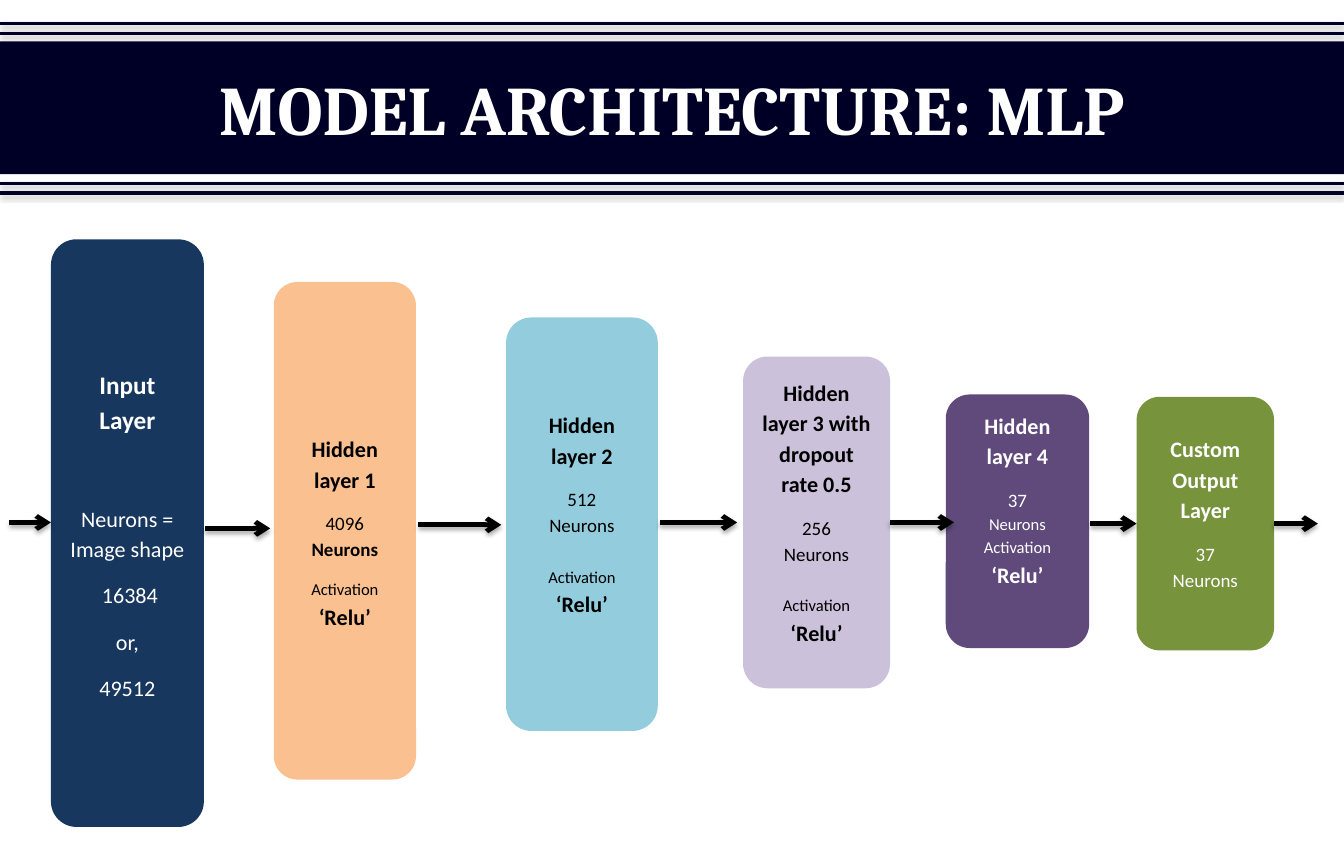
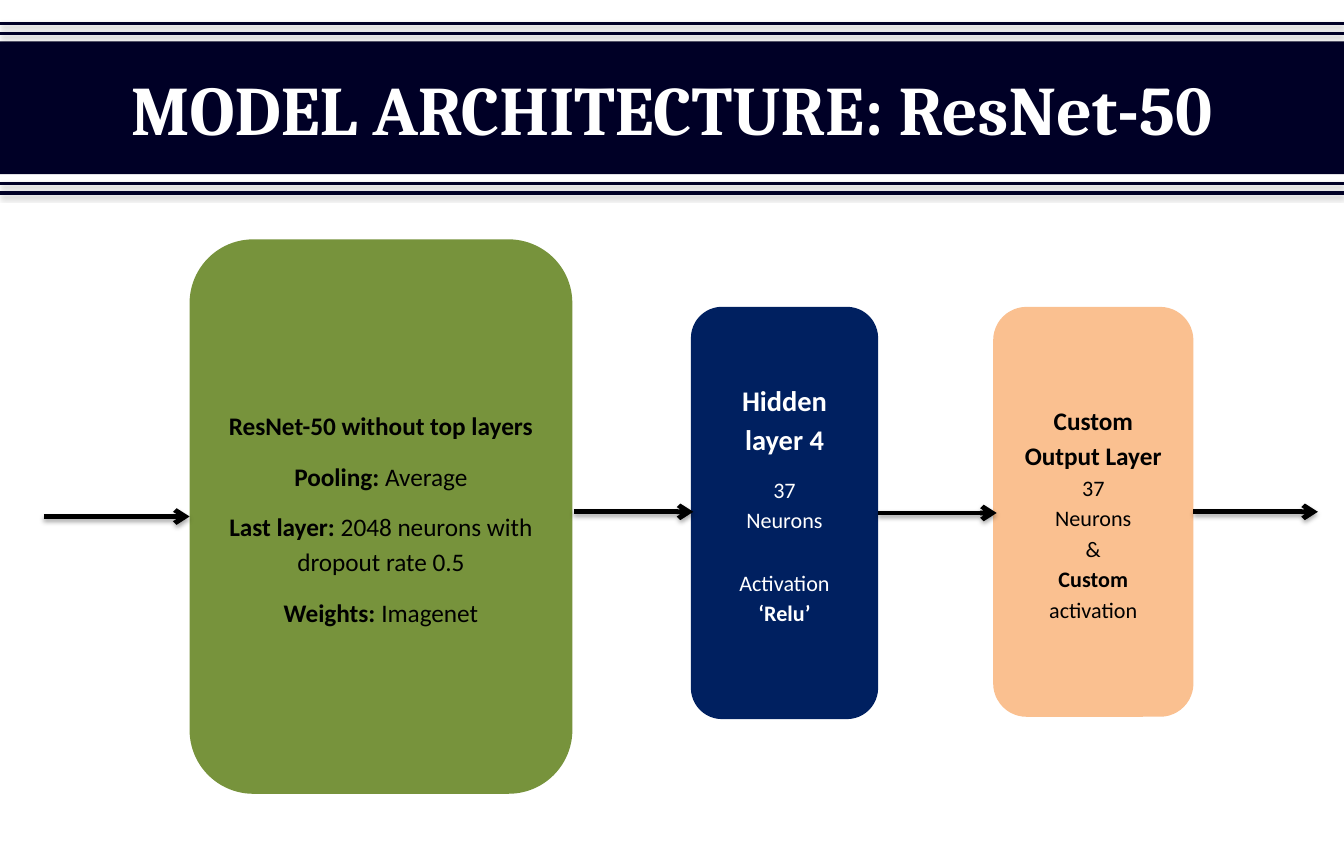
from lxml import etree
from pptx import Presentation
from pptx.dml.color import RGBColor
from pptx.enum.shapes import MSO_CONNECTOR as Connector, MSO_SHAPE as Shape
from pptx.enum.text import MSO_ANCHOR as Anchor, MSO_AUTO_SIZE as AutoSize, PP_ALIGN as Align
from pptx.oxml import parse_xml
from pptx.oxml.ns import qn
from pptx.util import Pt

PX = 9525  # EMU per px, 96 px to the inch
SLIDE_W, SLIDE_H = 1134, 720

# Shared style
NAVY, WHITE, BLACK = "000026", "FFFFFF", "000000"
OLIVE, PEACH = "77933C", "FAC090"
BAND_TOP, BAND_H = 35, 112
RULE_YS = (20, 28, 155, 163)
INSET = 5
SHADOW = (
    '<a:effectLst xmlns:a="http://schemas.openxmlformats.org/drawingml/2006/main">'
    '<a:outerShdw blurRad="39370" dist="{dist}" dir="5400000" rotWithShape="0">'
    '<a:srgbClr val="000000"><a:alpha val="{alpha}"/></a:srgbClr>'
    '</a:outerShdw></a:effectLst>'
)


def write(frame, runs, *, first, size, color, font="Calibri", spacing=1.15, after=0):
    """Write one centred paragraph from (text, bold) runs."""
    paragraph = frame.paragraphs[0] if first else frame.add_paragraph()
    paragraph.alignment = Align.CENTER
    paragraph.line_spacing = spacing
    paragraph.space_before, paragraph.space_after = Pt(0), Pt(after)
    for text, bold in runs:
        run = paragraph.add_run()
        run.text = text
        run.font.name, run.font.size, run.font.bold = font, Pt(size), bold
        run.font.color.rgb = RGBColor.from_string(color)


def draw_line(slide, x1, x2, y, *, color, width, dist, alpha, arrow=False):
    """Draw a level line with a soft shadow below it."""
    line = slide.shapes.add_connector(Connector.STRAIGHT, x1 * PX, y * PX, x2 * PX, y * PX)
    line.line.color.rgb = RGBColor.from_string(color)
    line.line.width = Pt(width)
    properties = line._element.spPr
    if arrow:
        etree.SubElement(properties.find(qn("a:ln")), qn("a:tailEnd"), type="arrow")
    properties.append(parse_xml(SHADOW.format(dist=dist, alpha=alpha)))
    return line


# Layer: x, y, w, h, fill, ink, bottom inset, lines
# Line: size, space after, (text, bold) runs
mlp_layers = [
    (43, 202, 129, 496, "17375E", WHITE, INSET, [
        (16, 42, [("Input Layer", True)]),
        (14, 10, [("Neurons = Image shape", False)]),
        (14, 10, [(" 16384", False)]),
        (14, 10, [("or,", False)]),
        (14, 10, [("49512", False)]),
    ]),
    (231, 238, 120, 420, PEACH, BLACK, INSET, [
        (14, 10, [("Hidden layer 1", True)]),
        (12, 10, [("4096 ", False), ("Neurons", True)]),
        (10.5, 0, [("Activation", False)]),
        (14, 0, [("‘Relu’", True)]),
    ]),
    (427, 268, 128, 349, "93CDDD", BLACK, 25, [
        (14, 10, [("Hidden layer 2", True)]),
        (12, 0, [("512", False)]),
        (12, 17, [("Neurons", False)]),
        (10.5, 0, [("Activation", False)]),
        (14, 0, [("‘Relu’", True)]),
    ]),
    (627, 301, 124, 280, "CCC1DA", BLACK, 25, [
        (14, 10, [("Hidden layer 3 with dropout rate 0.5", True)]),
        (12, 0, [("256", False)]),
        (12, 17, [("Neurons", False)]),
        (10.5, 0, [("Activation", False)]),
        (14, 0, [("‘Relu’", True)]),
    ]),
    (798, 333, 121, 214, "604A7B", WHITE, 44, [
        (14, 10, [("Hidden layer 4", True)]),
        (12, 0, [("37", False)]),
        (10.5, 0, [("Neurons", False)]),
        (10.5, 0, [("Activation", False)]),
        (14, 10, [("‘Relu’", True)]),
    ]),
    (959, 335, 116, 214, OLIVE, WHITE, 25, [
        (14, 10, [("Custom Output Layer", True)]),
        (12, 0, [("37", False)]),
        (12, 10, [("Neurons", False)]),
    ]),
]
resnet_layers = [
    (160, 202, 323, 468, OLIVE, BLACK, INSET, [
        (16, 10, [("ResNet-50 without top layers", True)]),
        (16, 10, [("Pooling:", True), (" Average", False)]),
        (16, 10, [("Last layer:", True), (" 2048 neurons with dropout rate 0.5", False)]),
        (16, 10, [("Weights:", True), (" Imagenet", False)]),
    ]),
    (583, 259, 158, 348, "002060", WHITE, 23, [
        (18, 10, [("Hidden layer 4", True)]),
        (14, 0, [("37", False)]),
        (14, 20, [("Neurons", False)]),
        (14, 0, [("Activation", False)]),
        (14, 10, [("‘Relu’", True)]),
    ]),
    (838, 259, 169, 346, PEACH, BLACK, INSET, [
        (16, 0, [("Custom Output Layer", True)]),
        (14, 0, [("37", False)]),
        (14, 0, [("Neurons", False)]),
        (14, 0, [("&", False)]),
        (14, 0, [("Custom", True), (" activation", False)]),
    ]),
]

# Arrow: start x, end x, y
mlp_arrows = [(8, 43, 441), (173, 228, 446), (353, 423, 443), (557, 622, 441),
              (751, 805, 441), (920, 959, 442), (1075, 1112, 442)]
resnet_arrows = [(37, 160, 436), (484, 585, 432), (741, 841, 433), (1007, 1112, 432)]

deck = Presentation()
deck.slide_width, deck.slide_height = SLIDE_W * PX, SLIDE_H * PX
title_only = deck.slide_layouts[5]

for heading, layers, arrows in [
    ("MODEL ARCHITECTURE: MLP", mlp_layers, mlp_arrows),
    ("MODEL ARCHITECTURE: ResNet-50", resnet_layers, resnet_arrows),
]:
    slide = deck.slides.add_slide(title_only)

    # Title band between two pairs of rules
    band = slide.shapes.title
    band.left, band.top = 0, BAND_TOP * PX
    band.width, band.height = SLIDE_W * PX, BAND_H * PX
    band.fill.solid()
    band.fill.fore_color.rgb = RGBColor.from_string(NAVY)
    band.text_frame.auto_size = AutoSize.NONE
    band.text_frame.vertical_anchor = Anchor.MIDDLE
    write(band.text_frame, [(heading, True)], first=True, size=44, color=WHITE,
          font="Cambria", spacing=1.0)
    for y in RULE_YS:
        draw_line(slide, 0, SLIDE_W, y, color=NAVY, width=2, dist=20000, alpha=38000)

    # Network layers
    blocks = []
    for x, y, w, h, fill, ink, bottom, lines in layers:
        block = slide.shapes.add_shape(
            Shape.ROUNDED_RECTANGLE, x * PX, y * PX, w * PX, h * PX)
        block.shadow.inherit = False
        block.fill.solid()
        block.fill.fore_color.rgb = RGBColor.from_string(fill)
        block.line.fill.background()
        frame = block.text_frame
        frame.word_wrap = True
        frame.vertical_anchor = Anchor.MIDDLE
        frame.margin_bottom = bottom * PX
        for index, (size, after, runs) in enumerate(lines):
            write(frame, runs, first=index == 0, size=size, color=ink, after=after)
        blocks.append(block)

    # Data flow, joined where an arrow meets the middle of a layer's side
    for start, end, y in arrows:
        flow = draw_line(slide, start, end, y, color=BLACK, width=3,
                         dist=23000, alpha=35000, arrow=True)
        for block, (left, top, w, h, *_) in zip(blocks, layers):
            if (start, y) == (left + w, top + h / 2):
                flow.begin_connect(block, 3)
            if (end, y) == (left, top + h / 2):
                flow.end_connect(block, 1)

deck.save("out.pptx")
